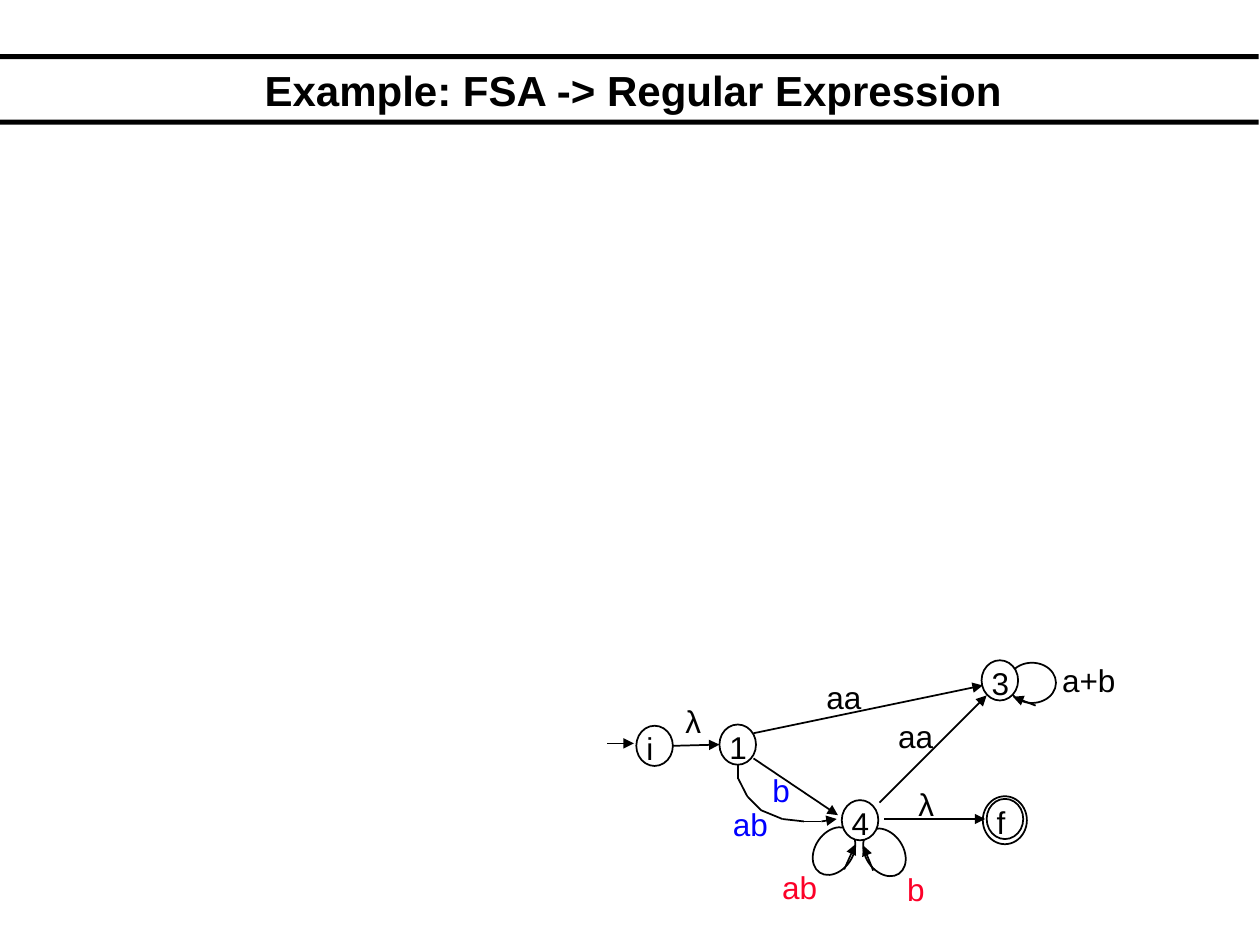
from itertools import pairwise

from lxml.etree import SubElement
from pptx import Presentation
from pptx.dml.color import RGBColor
from pptx.enum.shapes import MSO_CONNECTOR, MSO_SHAPE
from pptx.enum.text import MSO_ANCHOR, MSO_AUTO_SIZE, PP_ALIGN
from pptx.oxml.ns import qn
from pptx.util import Pt

BLACK = RGBColor(0x00, 0x00, 0x00)
WHITE = RGBColor(0xFF, 0xFF, 0xFF)
BLUE = RGBColor(0x00, 0x00, 0xFF)
RED = RGBColor(0xFC, 0x01, 0x28)

STATE_SIZE = (20.9, 23)
GLYPH_WIDTHS = {"i": 4, "f": 5, "+": 10.5}


def write_text(frame, text, size=18, color=BLACK, bold=False, align=PP_ALIGN.LEFT):
    para = frame.paragraphs[0]
    para.alignment = align
    span = para.add_run()
    span.text = text
    span.font.name = "Arial"
    span.font.size = Pt(size)
    span.font.bold = bold
    span.font.color.rgb = color


class Diagram:
    """Draws the parts of an automaton on one page."""

    def __init__(self, page, line_width=1):
        self.page = page
        self.line_width = Pt(line_width)

    def title(self, text, *place):
        box = self.page.shapes.title
        box.left, box.top, box.width, box.height = map(Pt, place)
        box.text_frame.vertical_anchor = MSO_ANCHOR.MIDDLE
        write_text(box.text_frame, text, size=24, bold=True, align=PP_ALIGN.CENTER)

    def bar(self, top):
        bar = self.page.shapes.add_shape(
            MSO_SHAPE.RECTANGLE, Pt(0), Pt(top), Pt(719.3), Pt(2.9))
        bar.shadow.inherit = False
        bar.fill.solid()
        bar.fill.fore_color.rgb = BLACK
        bar.line.fill.background()

    def ellipse(self, left, top, width, height, rotation=0):
        oval = self.page.shapes.add_shape(
            MSO_SHAPE.OVAL, Pt(left), Pt(top), Pt(width), Pt(height))
        oval.rotation = rotation
        oval.shadow.inherit = False
        oval.fill.solid()
        oval.fill.fore_color.rgb = WHITE
        oval.line.color.rgb = BLACK
        oval.line.width = self.line_width

    def label(self, text, left, top, color=BLACK):
        width = 14.4 + sum(GLYPH_WIDTHS.get(glyph, 10) for glyph in text)
        box = self.page.shapes.add_textbox(Pt(left), Pt(top), Pt(width), Pt(28.8))
        box.text_frame.word_wrap = False
        box.text_frame.auto_size = MSO_AUTO_SIZE.SHAPE_TO_FIT_TEXT
        write_text(box.text_frame, text, color=color)

    def state(self, name, left, top):
        self.ellipse(left, top, *STATE_SIZE)
        self.label(name, left - 1.4, top - 1.4)

    def line(self, start, end, arrow=True):
        line = self.page.shapes.add_connector(
            MSO_CONNECTOR.STRAIGHT, *map(Pt, (*start, *end)))
        line.line.color.rgb = BLACK
        line.line.width = self.line_width
        if arrow:
            SubElement(line.line._get_or_add_ln(), qn("a:tailEnd"), type="triangle")
        SubElement(line._element.spPr, qn("a:effectLst"))

    def curve(self, points):
        for start, end in pairwise(points):
            self.line(start, end, arrow=end == points[-1])


def main():
    deck = Presentation()
    deck.slide_width, deck.slide_height = Pt(720), Pt(540)
    page = deck.slides.add_slide(deck.slide_layouts[5])
    diagram = Diagram(page)

    # Heading between two bars
    for top in (68.4, 31):
        diagram.bar(top)
    diagram.title("Example: FSA -> Regular Expression", 113.8, 32.4, 496, 37.4)

    # Self-loops, partly covered by their states
    diagram.ellipse(465.8, 471.6, 21.6, 29.5, rotation=34)
    diagram.line((482.4, 496.8), (488.9, 482.4))
    diagram.ellipse(494.6, 472.3, 21.6, 29.5, rotation=326)
    diagram.line((499, 497.5), (493.2, 483.1))
    diagram.ellipse(576, 378.7, 27.4, 23)

    # States, with an outer ring around the final one
    diagram.ellipse(561.6, 455, 25.2, 27.4)
    for name, left, top in (
        ("i", 363.6, 414.7),
        ("1", 411.1, 414),
        ("3", 560.9, 377.3),
        ("4", 481, 457.2),
        ("f", 563.8, 456.5),
    ):
        diagram.state(name, left, top)

    # Straight transitions
    for start, end in (
        ((347, 424.8), (362.2, 424.8)),
        ((384.5, 426.2), (411.1, 425.5)),
        ((430.6, 419), (561.6, 391.7)),
        ((430.6, 433.4), (478.8, 465.8)),
        ((502.6, 458.6), (563.8, 397.4)),
        ((505.4, 468), (563, 468)),
        ((591.8, 403.2), (578.9, 398.2)),
    ):
        diagram.line(start, end)

    # Curved transition from 1 to 4
    diagram.curve([
        (421.9, 437), (421.9, 445), (427, 455), (434.9, 463),
        (447.1, 468), (459.4, 469.4), (469.4, 469.4), (478.1, 468),
    ])

    # Transition labels
    for text, left, top, color in (
        ("λ", 384.5, 397.4, BLACK),
        ("aa", 465.1, 383.8, BLACK),
        ("aa", 506.2, 406.1, BLACK),
        ("a+b", 599.8, 374.4, BLACK),
        ("λ", 517.7, 445, BLACK),
        ("b", 434.2, 437, BLUE),
        ("ab", 411.8, 456.5, BLUE),
        ("ab", 439.9, 492.5, RED),
        ("b", 511.2, 493.9, RED),
    ):
        diagram.label(text, left, top, color)

    deck.save("out.pptx")


if __name__ == "__main__":
    main()
